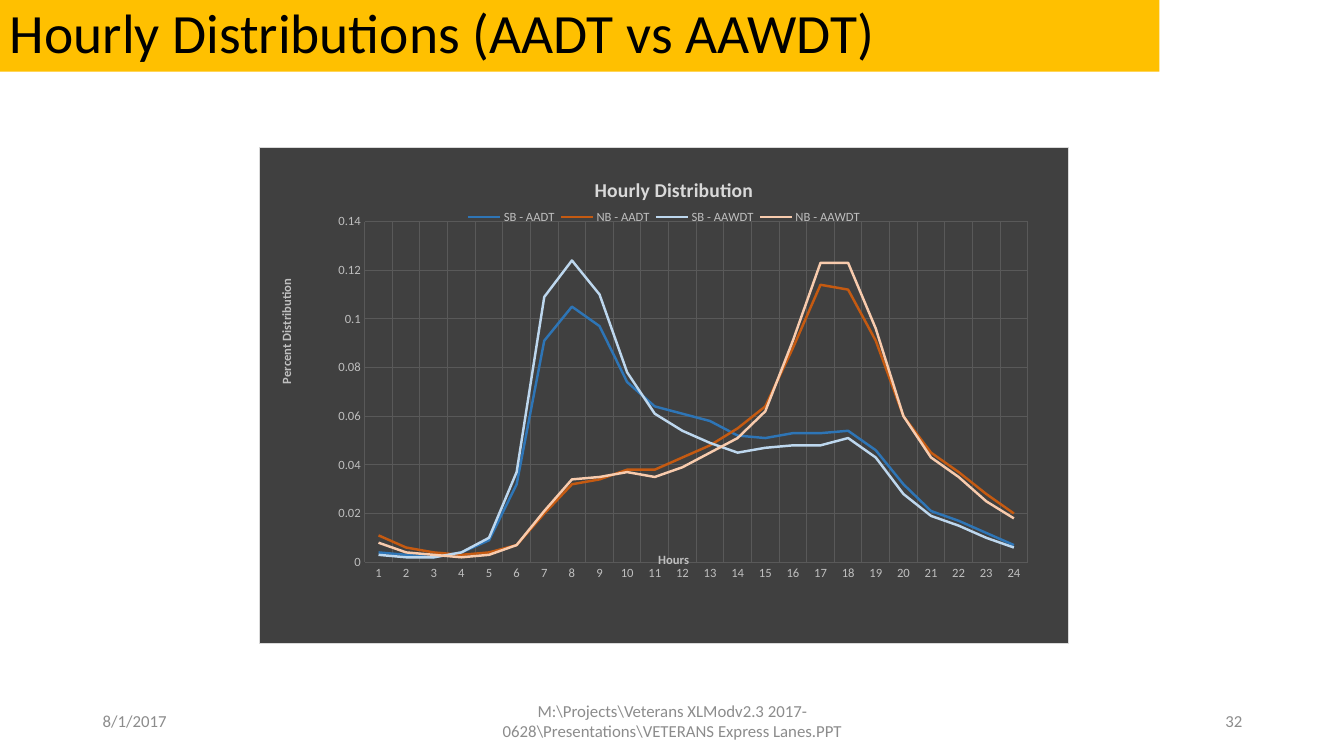
"""Build the hourly distribution slide with its line chart and footer."""
from lxml import etree
from pptx import Presentation
from pptx import util as u
from pptx.chart.data import CategoryChartData
from pptx.dml.color import RGBColor
from pptx.enum import chart as charts, shapes, text
from pptx.oxml import parse_xml
from pptx.oxml.ns import nsdecls, qn

FONT = "Calibri"
BLACK = RGBColor(0x00, 0x00, 0x00)
GOLD = RGBColor(0xFF, 0xC0, 0x00)
FOOTER_GRAY = RGBColor(0x8C, 0x8C, 0x8C)
LABEL_GRAY = RGBColor(0xBF, 0xBF, 0xBF)
TITLE_GRAY = RGBColor(0xD9, 0xD9, 0xD9)
GRID_GRAY = RGBColor(0x59, 0x59, 0x59)

TITLE = "Hourly Distributions (AADT vs AAWDT)"
CHART_BOX = (2.57, 1.46, 8.03, 4.93)
SERIES = [
    ("SB - AADT", RGBColor(0x2E, 0x75, 0xB6),
     [0.004, 0.003, 0.002, 0.004, 0.009, 0.032, 0.091, 0.105, 0.097, 0.074, 0.064, 0.061,
      0.058, 0.052, 0.051, 0.053, 0.053, 0.054, 0.046, 0.032, 0.021, 0.017, 0.012, 0.007]),
    ("NB - AADT", RGBColor(0xC5, 0x5A, 0x11),
     [0.011, 0.006, 0.004, 0.003, 0.004, 0.007, 0.02, 0.032, 0.034, 0.038, 0.038, 0.043,
      0.048, 0.055, 0.064, 0.088, 0.114, 0.112, 0.091, 0.06, 0.045, 0.037, 0.028, 0.02]),
    ("SB - AAWDT", RGBColor(0xBD, 0xD7, 0xEE),
     [0.003, 0.002, 0.002, 0.004, 0.01, 0.037, 0.109, 0.124, 0.11, 0.078, 0.061, 0.054,
      0.049, 0.045, 0.047, 0.048, 0.048, 0.051, 0.043, 0.028, 0.019, 0.015, 0.01, 0.006]),
    ("NB - AAWDT", RGBColor(0xF8, 0xCB, 0xAD),
     [0.008, 0.004, 0.003, 0.002, 0.003, 0.007, 0.021, 0.034, 0.035, 0.037, 0.035, 0.039,
      0.045, 0.051, 0.062, 0.091, 0.123, 0.123, 0.096, 0.06, 0.043, 0.035, 0.025, 0.018]),
]
FOOTER = [
    ("8/1/2017", 0.92, 3, text.PP_ALIGN.LEFT),
    ("M:\\Projects\\Veterans XLModv2.3 2017-0628\\Presentations\\VETERANS Express Lanes.PPT",
     4.42, 4.5, text.PP_ALIGN.CENTER),
    ("32", 9.42, 3, text.PP_ALIGN.RIGHT),
]


def inches(box):
    return [u.Inches(length) for length in box]


def style_font(font, size, color, bold=False):
    font.name, font.size, font.bold = FONT, u.Pt(size), bold
    font.color.rgb = color


def write(shape, words, size, color, align):
    frame = shape.text_frame
    frame.word_wrap = True
    frame.vertical_anchor = text.MSO_ANCHOR.MIDDLE
    paragraph = frame.paragraphs[0]
    paragraph.text, paragraph.alignment = words, align
    style_font(paragraph.font, size, color)
    return paragraph


def place(element, index, **shares):
    """Give a chart part a manual layout in shares of the chart."""
    for layout in element.findall(qn("c:layout")):
        element.remove(layout)
    layout = parse_xml(f"<c:layout {nsdecls('c')}><c:manualLayout/></c:layout>")
    settings = {"xMode": "edge", "yMode": "edge", **shares}
    if "w" in shares and index == 0:
        settings = {"layoutTarget": "inner", **settings}
    for name, value in settings.items():
        etree.SubElement(layout[0], qn(f"c:{name}")).set("val", str(value))
    element.insert(index, layout)


def add_title(owner, words, size, color, x, y, rotation=0):
    title = owner.chart_title if hasattr(owner, "chart_title") else owner.axis_title
    frame = title.text_frame
    frame.text = words
    style_font(frame.paragraphs[0].font, size, color, bold=True)
    frame._txBody.bodyPr.set("rot", str(rotation * 60000))
    place(title._element, 1, x=x, y=y)


def style_axis(axis):
    style_font(axis.tick_labels.font, 9, LABEL_GRAY)
    axis.major_tick_mark = axis.minor_tick_mark = charts.XL_TICK_MARK.NONE
    axis.format.line.fill.background()
    axis.has_major_gridlines = True
    axis.major_gridlines.format.line.color.rgb = GRID_GRAY
    axis.major_gridlines.format.line.width = u.Pt(0.75)


def add_hourly_chart(slide):
    data = CategoryChartData()
    data.categories = [str(hour) for hour in range(1, 25)]
    for name, _, values in SERIES:
        data.add_series(name, values)
    chart = slide.shapes.add_chart(charts.XL_CHART_TYPE.LINE, *inches(CHART_BOX), data).chart
    style_font(chart.font, 10, BLACK)
    space = chart._chartSpace
    space.find(qn("c:chart")).addnext(parse_xml(
        f'<c:spPr {nsdecls("c", "a")}><a:solidFill><a:srgbClr val="404040"/></a:solidFill>'
        '<a:ln w="9525"><a:solidFill><a:srgbClr val="D9D9D9"/></a:solidFill></a:ln></c:spPr>'))
    place(space.find(qn("c:chart")).find(qn("c:plotArea")), 0, x=0.13, y=0.149, w=0.82, h=0.687)

    chart.plots[0].vary_by_categories = False
    for series, (_, color, _) in zip(chart.plots[0].series, SERIES):
        series.smooth = False
        series.marker.style = charts.XL_MARKER_STYLE.NONE
        series.format.line.color.rgb = color
        series.format.line.width = u.Pt(1.75)

    hours, percent = chart.category_axis, chart.value_axis
    style_axis(hours)
    style_axis(percent)
    percent.minimum_scale, percent.maximum_scale, percent.major_unit = 0, 0.14, 0.02
    percent.tick_labels.number_format = "General"
    percent.tick_labels.number_format_is_linked = False

    add_title(chart, "Hourly Distribution", 14, TITLE_GRAY, 0.41, 0.05)
    add_title(hours, "Hours", 9, LABEL_GRAY, 0.49, 0.81)
    add_title(percent, "Percent Distribution", 9, LABEL_GRAY, 0.02, 0.26, rotation=-90)

    chart.has_legend = True
    chart.legend.position = charts.XL_LEGEND_POSITION.TOP
    chart.legend.include_in_layout = False
    style_font(chart.legend.font, 9, LABEL_GRAY)
    place(chart.legend._element, 1, x=0.25, y=0.12, w=0.5, h=0.04)


def main():
    presentation = Presentation()
    presentation.slide_width, presentation.slide_height = inches((13.33, 7.5))
    slide = presentation.slides.add_slide(presentation.slide_layouts[6])

    banner = slide.shapes.add_shape(shapes.MSO_SHAPE.RECTANGLE, *inches((0, 0, 11.5, 0.71)))
    banner.shadow.inherit = False
    banner.fill.solid()
    banner.fill.fore_color.rgb = GOLD
    banner.line.fill.background()
    write(banner, TITLE, 39.6, BLACK, text.PP_ALIGN.LEFT).line_spacing = 0.9

    add_hourly_chart(slide)
    for words, left, width, align in FOOTER:
        footer = slide.shapes.add_textbox(*inches((left, 6.95, width, 0.4)))
        write(footer, words, 12, FOOTER_GRAY, align)
    presentation.save("out.pptx")


if __name__ == "__main__":
    main()
